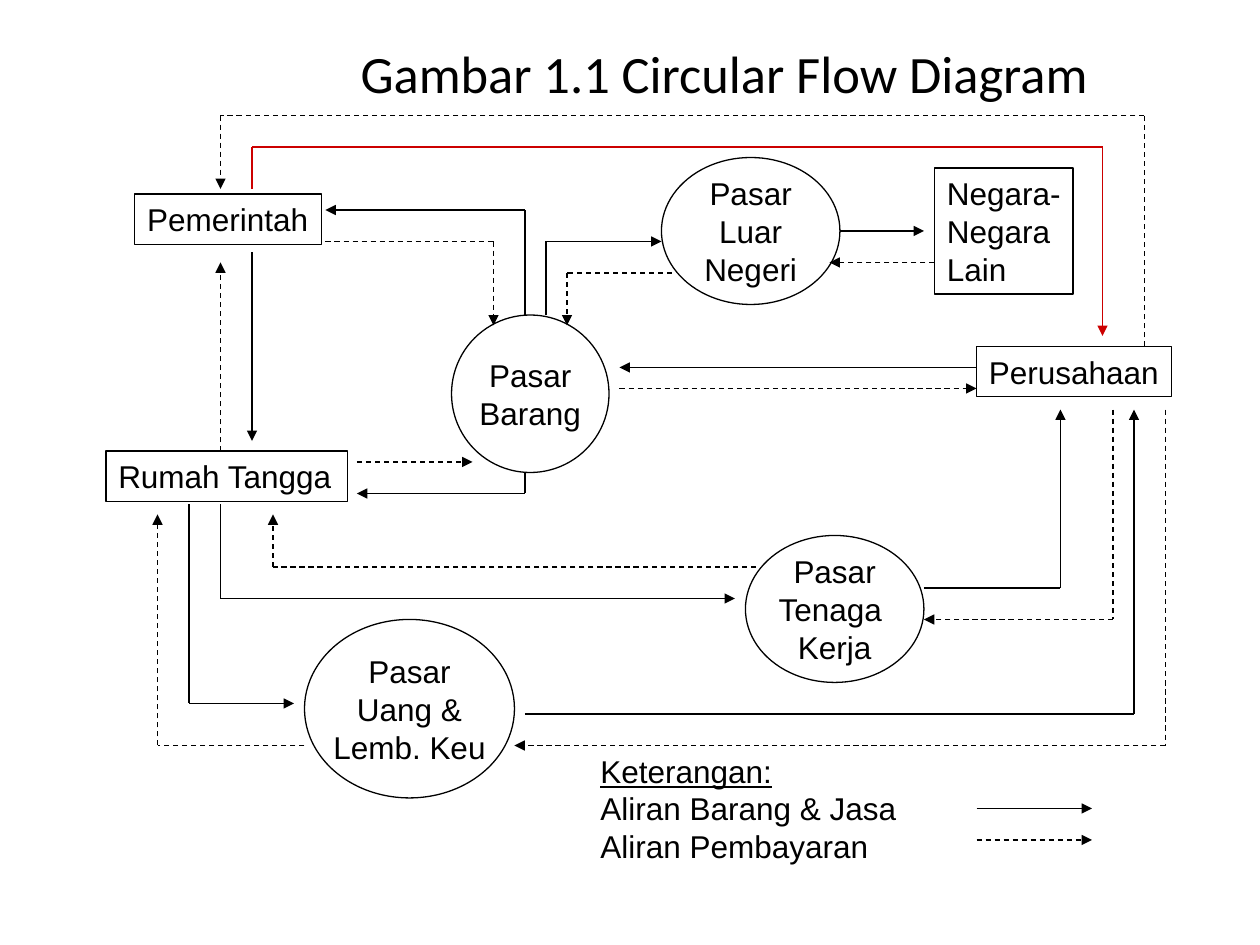
from itertools import pairwise

from lxml.etree import SubElement
from pptx import Presentation
from pptx.dml.color import RGBColor
from pptx.enum.dml import MSO_LINE
from pptx.enum.shapes import MSO_CONNECTOR, MSO_SHAPE
from pptx.enum.text import MSO_ANCHOR, MSO_AUTO_SIZE, PP_ALIGN
from pptx.oxml.ns import qn
from pptx.util import Inches, Pt

COLORS = {"ink": "000000", "paper": "FFFFFF", "highlight": "CC0000"}
CELLS_PER_INCH = 12
COLUMNS, ROWS = 120, 90
LINE_WIDTH = Pt(0.75)

BODY_FONT = {"name": "Arial", "size": Pt(18)}
TITLE_FONT = {"name": "Calibri", "size": Pt(30)}
LEFT_FRAME = {
    "word_wrap": False,
    "auto_size": MSO_AUTO_SIZE.SHAPE_TO_FIT_TEXT,
    "vertical_anchor": MSO_ANCHOR.TOP,
}
CENTER_FRAME = {
    "word_wrap": False,
    "auto_size": MSO_AUTO_SIZE.NONE,
    "vertical_anchor": MSO_ANCHOR.MIDDLE,
}
TITLE_FRAME = CENTER_FRAME | {"word_wrap": True}

ACTORS = [
    ("Pemerintah", 12.84, 18.48, 17.76, 4.8),
    ("Rumah Tangga", 10.08, 42.96, 23.04, 4.8),
    ("Perusahaan", 93, 33, 18.6, 4.8),
    ("Negara-\nNegara\nLain", 89, 16, 13.2, 12),
]
MARKETS = [
    ("Pasar\nBarang", 43, 30, 15, 15),
    ("Pasar\nUang &\nLemb. Keu", 29, 59, 20, 17),
    ("Pasar\nTenaga \nKerja", 71, 51, 17, 14),
    ("Pasar\nLuar\nNegeri", 63, 15, 17, 14),
]
GOODS_FLOWS = [
    [(50, 45), (50, 47), (34, 47)],
    [(93, 35), (59, 35)],
    [(50, 30), (50, 20), (31, 20)],
    [(52, 30), (52, 23), (63, 23)],
    [(80, 22), (88, 22)],
    [(88, 56), (101, 56), (101, 39)],
    [(21, 48), (21, 57), (70, 57)],
    [(24, 24), (24, 42)],
    [(18, 48), (18, 67), (28, 67)],
    [(50, 68), (108, 68), (108, 39)],
    [(93, 77), (104, 77)],
]
PAYMENT_FLOWS = [
    [(31, 23), (47, 23), (47, 31)],
    [(64, 26), (54, 26), (54, 31)],
    [(89, 25), (79, 25)],
    [(59, 37), (93, 37)],
    [(34, 44), (45, 44)],
    [(106, 39), (106, 59), (88, 59)],
    [(72, 54), (26, 54), (26, 49)],
    [(21, 43), (21, 25)],
    [(109, 33), (109, 11), (21, 11), (21, 18)],
    [(29, 71), (15, 71), (15, 49)],
    [(111, 39), (111, 71), (49, 71)],
    [(93, 80), (104, 80)],
]
GOVERNMENT_FLOWS = [[(24, 18), (24, 14), (105, 14), (105, 32)]]


def grid(*cells):
    return [Inches(cell / CELLS_PER_INCH) for cell in cells]


def color(name):
    return RGBColor.from_string(COLORS[name])


def apply_format(target, values):
    for name, value in values.items():
        setattr(target, name, value)


def write_text(shape, text, frame_format, font_format, alignment):
    frame = shape.text_frame
    frame.text = text
    apply_format(frame, frame_format)
    for paragraph in frame.paragraphs:
        paragraph.alignment = alignment
        apply_format(paragraph.font, font_format)
        paragraph.font.color.rgb = color("ink")


def add_node(slide, kind, node, frame_format, alignment):
    text, *box = node
    shape = slide.shapes.add_shape(kind, *grid(*box))
    shape.shadow.inherit = False
    shape.fill.solid()
    shape.fill.fore_color.rgb = color("paper")
    shape.line.color.rgb = color("ink")
    shape.line.width = LINE_WIDTH
    write_text(shape, text, frame_format, BODY_FONT, alignment)


def add_line(slide, start, end, color_name, dash, arrow):
    connector = slide.shapes.add_connector(
        MSO_CONNECTOR.STRAIGHT, *grid(*start, *end)
    )
    connector.line.color.rgb = color(color_name)
    apply_format(connector.line, {"width": LINE_WIDTH, "dash_style": dash})
    if arrow:
        outline = connector.line._get_or_add_ln()
        SubElement(outline, qn("a:tailEnd"), type="triangle")
    SubElement(connector._element.spPr, qn("a:effectLst"))


def add_flows(slide, flows, color_name="ink", dash=None):
    for flow in flows:
        for start, end in pairwise(flow):
            add_line(slide, start, end, color_name, dash, end == flow[-1])


def add_title(slide):
    box = slide.shapes.add_textbox(*grid(18, 3.24, 102, 7.32))
    write_text(
        box, "Gambar 1.1 Circular Flow Diagram",
        TITLE_FRAME, TITLE_FONT, PP_ALIGN.CENTER,
    )


def add_legend(slide):
    box = slide.shapes.add_textbox(*grid(56, 71, 30.6, 12))
    text = "Keterangan:\nAliran Barang & Jasa\nAliran Pembayaran"
    write_text(box, text, LEFT_FRAME, BODY_FONT, PP_ALIGN.LEFT)
    box.text_frame.paragraphs[0].runs[0].font.underline = True


def main():
    presentation = Presentation()
    width, height = grid(COLUMNS, ROWS)
    apply_format(presentation, {"slide_width": width, "slide_height": height})
    slide = presentation.slides.add_slide(presentation.slide_layouts[6])
    add_title(slide)
    for actor in ACTORS:
        add_node(slide, MSO_SHAPE.RECTANGLE, actor, LEFT_FRAME, PP_ALIGN.LEFT)
    for market in MARKETS:
        add_node(slide, MSO_SHAPE.OVAL, market, CENTER_FRAME, PP_ALIGN.CENTER)
    add_flows(slide, GOODS_FLOWS)
    add_flows(slide, PAYMENT_FLOWS, dash=MSO_LINE.DASH)
    add_flows(slide, GOVERNMENT_FLOWS, color_name="highlight")
    add_legend(slide)
    presentation.save("out.pptx")


if __name__ == "__main__":
    main()
